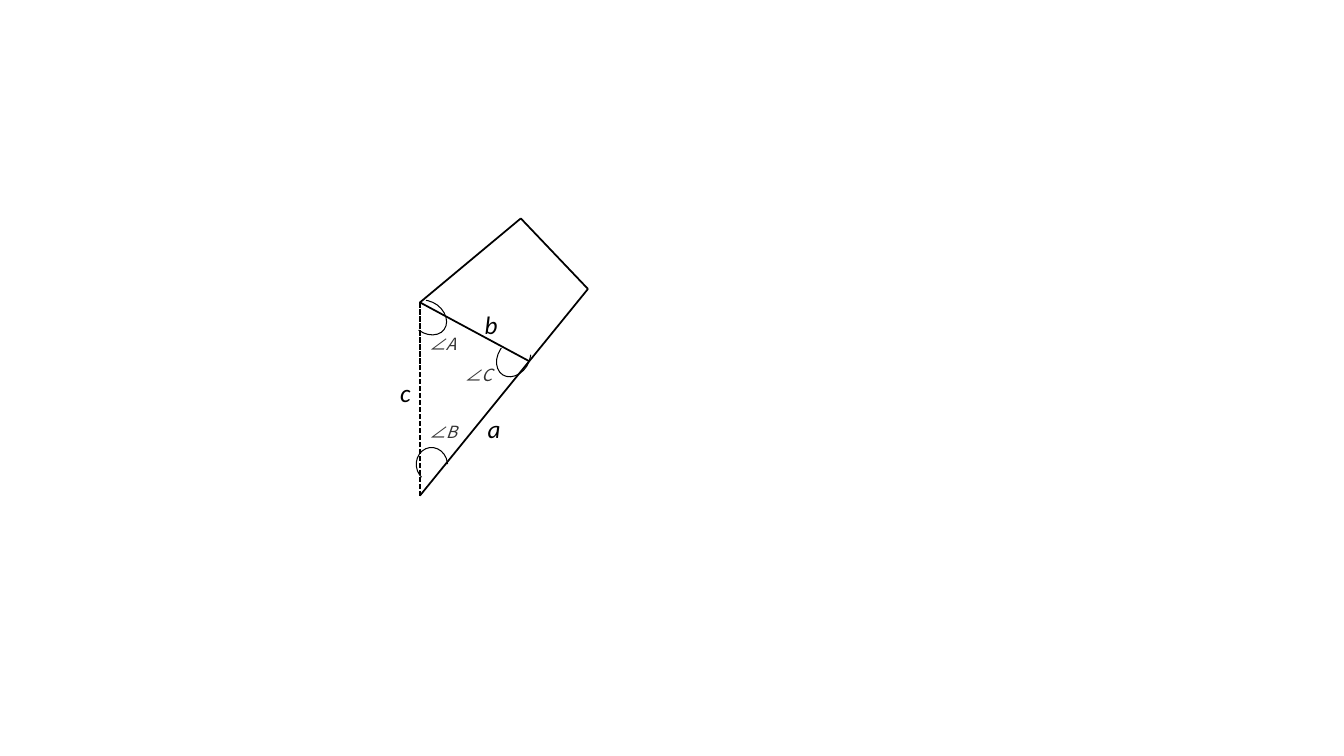
from lxml import etree
from pptx import Presentation
from pptx import util as u
from pptx.dml.color import RGBColor
from pptx.enum import dml, shapes, text
from pptx.oxml.ns import qn

COLUMNS, ROWS = 80, 45


def colour(value):
    return RGBColor.from_string(value)


class Diagram:
    ink = "000000"
    grey = "333333"
    side_font = "Calibri"
    angle_font = "Noto Sans CJK SC"

    def __init__(self, presentation):
        self.column = presentation.slide_width / COLUMNS
        self.row = presentation.slide_height / ROWS
        self.slide = presentation.slides.add_slide(presentation.slide_layouts[6])

    def place(self, *lengths):
        units = (self.column, self.row) * 2
        return [u.Emu(round(length * unit)) for length, unit in zip(lengths, units)]

    def stroke(self, line, width):
        line.color.rgb = colour(self.ink)
        line.width = u.Pt(width)

    def edge(self, start, end, dashed=False):
        connector = self.slide.shapes.add_connector(
            shapes.MSO_CONNECTOR.STRAIGHT, *self.place(*start, *end))
        self.stroke(connector.line, 1.25)
        if dashed:
            connector.line.dash_style = dml.MSO_LINE.SQUARE_DOT
        etree.SubElement(connector._element.spPr, qn("a:effectLst"))

    def arc(self, left, top, height, rotation, end_angle):
        shape = self.slide.shapes.add_shape(
            shapes.MSO_SHAPE.ARC, *self.place(left, top, 1.86, height))
        shape.shadow.inherit = False
        shape.fill.background()
        self.stroke(shape.line, 0.75)
        shape.rotation = rotation
        for index, degrees in enumerate((137.04, end_angle)):
            shape.adjustments[index] = degrees * 0.6

    def label(self, words, box, size, font, ink, wrap):
        frame = self.slide.shapes.add_textbox(*self.place(*box)).text_frame
        frame.word_wrap = wrap
        frame.auto_size = text.MSO_AUTO_SIZE.SHAPE_TO_FIT_TEXT
        run = frame.paragraphs[0].add_run()
        run.text = words
        run.font.size = u.Pt(size)
        run.font.italic = True
        run.font.color.rgb = colour(ink)
        run.font.name = font
        east_asian = etree.SubElement(run.font._element, qn("a:ea"))
        east_asian.set("typeface", font)

    def side(self, words, left, top, width):
        self.label(words, (left, top, width, 2.4), 18, self.side_font, self.ink, False)

    def angle(self, words, left, top):
        self.label(words, (left, top, 3.36, 1.8), 12, self.angle_font, self.grey, True)


def main():
    presentation = Presentation()
    presentation.slide_width = u.Inches(13.33)
    presentation.slide_height = u.Inches(7.5)
    diagram = Diagram(presentation)

    corner_a, corner_b, corner_c = (25, 18), (25, 29.5), (31.5, 21.5)
    peak, right_corner = (31, 13), (35, 17.2)
    for start, end in ((corner_a, peak), (corner_a, corner_c),
                       (peak, right_corner), (corner_b, right_corner)):
        diagram.edge(start, end)
    diagram.edge(corner_a, corner_b, dashed=True)

    diagram.side("c", 23.22, 22.14, 1.86)
    diagram.side("a", 28.44, 24.3, 1.98)
    diagram.side("b", 28.26, 18.12, 2.04)

    diagram.arc(24.54, 17.7, 2.4, 126.6, 0)
    diagram.arc(29.64, 20.1, 2.4, 212.7, 5.75)
    diagram.arc(24.78, 26.64, 2.04, 352.4, 5.75)

    diagram.angle("∠A", 24.96, 19.56)
    diagram.angle("∠C", 27.06, 21.42)
    diagram.angle("∠B", 24.96, 24.78)

    presentation.save("out.pptx")


if __name__ == "__main__":
    main()
